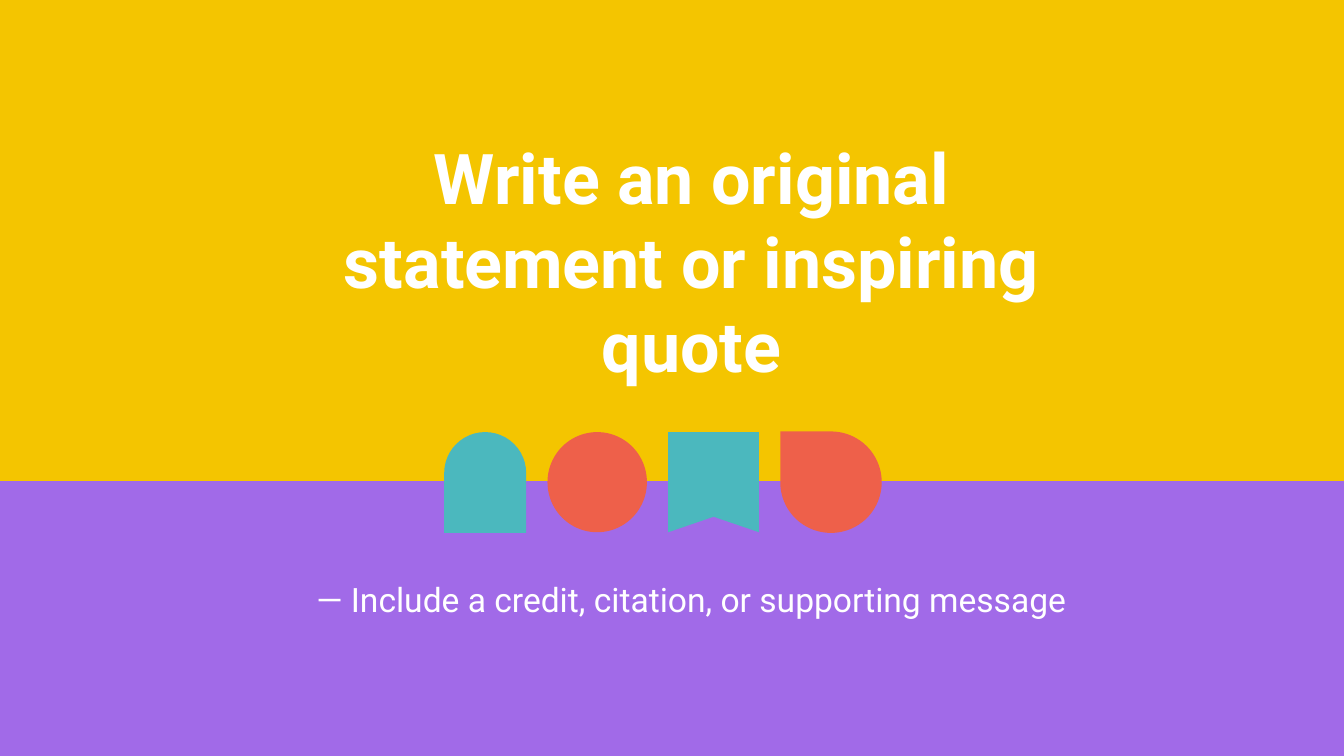
from pptx import Presentation
from pptx import util as u
from pptx.dml import color
from pptx.enum import shapes, text

COLORS = {
    "yellow": "F4C500",
    "purple": "A16AE8",
    "teal": "4BB8BE",
    "coral": "EE604A",
    "white": "FFFFFF",
}

presentation = Presentation()
presentation.slide_width = u.Inches(20)
presentation.slide_height = u.Inches(11.25)
slide = presentation.slides.add_slide(presentation.slide_layouts[6])

CELL = presentation.slide_width / 200
COLUMNS, ROWS = 200, 112.5
HORIZON = 71.6


def cells(*counts):
    return [round(count * CELL) for count in counts]


def paint(shape, name):
    shape.shadow.inherit = False
    shape.fill.solid()
    shape.fill.fore_color.rgb = color.RGBColor.from_string(COLORS[name])
    shape.line.fill.background()


preset = shapes.MSO_SHAPE
for top, height, name in [(0, HORIZON, "yellow"), (HORIZON, ROWS - HORIZON, "purple")]:
    band = slide.shapes.add_shape(preset.RECTANGLE, *cells(0, top, COLUMNS, height))
    paint(band, name)

GAP = 3.17
NOTCH = 2.3
left = 66.1
icons = [
    ("arch", 12.2, 64.3, 15, "teal"),
    ("circle", 14.8, 64.3, 14.9, "coral"),
    ("ribbon", 13.5, 64.3, 14.9, "teal"),
    ("drop", 15.1, 64.2, 15.1, "coral"),
]
presets = {
    "arch": preset.ROUND_2_SAME_RECTANGLE,
    "circle": preset.OVAL,
    "drop": preset.TEAR,
}
for icon, width, top, height, name in icons:
    if icon == "ribbon":
        right, bottom = left + width, top + height
        builder = slide.shapes.build_freeform(*cells(left, top))
        corners = [
            (right, top),
            (right, bottom),
            (left + width / 2, bottom - NOTCH),
            (left, bottom),
        ]
        builder.add_line_segments([cells(*corner) for corner in corners], close=True)
        shape = builder.convert_to_shape()
    else:
        shape = slide.shapes.add_shape(presets[icon], *cells(left, top, width, height))
    if icon == "arch":
        shape.adjustments[0] = 0.5
    if icon == "drop":
        shape.rotation = 270
    paint(shape, name)
    left += width + GAP

texts = [
    ((47.9, 32.5, 110, 12.5), ["Write an original", "statement or inspiring quote"], 75, True, None),
    ((40.9, 81.7, 124, 12.5), ["— Include a credit, citation, or supporting message"], 36, False, 1.4),
]
for box, lines, size, bold, spacing in texts:
    frame = slide.shapes.add_textbox(*cells(*box)).text_frame
    frame.word_wrap = True
    frame.vertical_anchor = text.MSO_ANCHOR.MIDDLE
    for index, line in enumerate(lines):
        paragraph = frame.add_paragraph() if index else frame.paragraphs[0]
        paragraph.alignment = text.PP_ALIGN.CENTER
        paragraph.line_spacing = spacing
        run = paragraph.add_run()
        run.text = line
        run.font.name = "Roboto"
        run.font.size = u.Pt(size)
        run.font.bold = bold
        run.font.color.rgb = color.RGBColor.from_string(COLORS["white"])

presentation.save("out.pptx")
